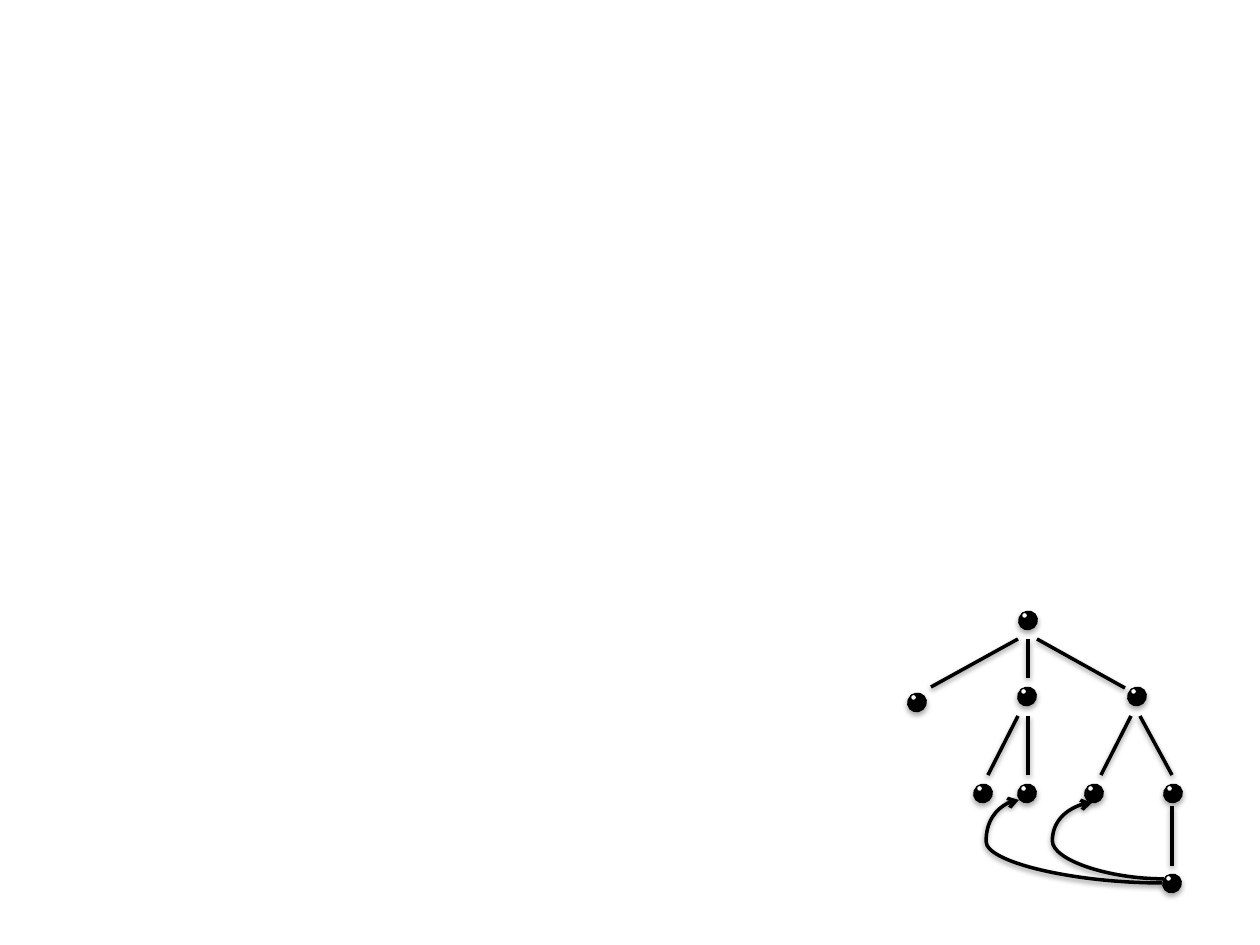
from lxml import etree
from pptx import Presentation, util as u
from pptx.dml.color import RGBColor
from pptx.enum import shapes
from pptx.oxml import ns

BLACK = RGBColor(0x00, 0x00, 0x00)
WHITE = RGBColor(0xFF, 0xFF, 0xFF)
SCALE = 914400 / 126
TREE_BOX = (900, 600)
DOT_W, DOT_H, SHINE = 18, 19, 6
TILT = 48.4

DOTS = [(119, 11), (8, 93), (118, 87), (228, 87),
        *((x, 184) for x in (74, 118, 185, 264)), (263, 274)]
BRANCHES = [(118, 39, 31, 87), (128, 39, 128, 78), (137, 39, 225, 88),
            (118, 116, 88, 175), (128, 116, 128, 175),
            (231, 116, 201, 175), (240, 116, 272, 175),
            (272, 206, 272, 266)]
NEAR_LINK = (264, 279, 192, 203)
FAR_LINK = (262, 283, 119, 200)


def px(n):
    """Turn pixels into EMU."""
    return u.Emu(round(n * SCALE))


def add_child(parent, tag, **attrs):
    """Append a drawing element with the given attributes."""
    el = etree.SubElement(parent, ns.qn(tag))
    for key, value in attrs.items():
        el.set(key, str(value))
    return el


def add_shadow(sp, distance, alpha):
    """Give a shape or connector a soft shadow below it."""
    effects = add_child(sp._element.spPr, "a:effectLst")
    outer = add_child(effects, "a:outerShdw", blurRad=u.Pt(3.1), dist=u.Pt(distance),
                      dir=5400000, rotWithShape=0)
    color = add_child(outer, "a:srgbClr", val=BLACK)
    add_child(color, "a:alpha", val=alpha * 1000)


def add_ellipse(grp, x, y, w, h, color):
    """Add one tilted ellipse with a thin black outline."""
    sp = grp.shapes.add_shape(shapes.MSO_SHAPE.OVAL, px(x), px(y), px(w), px(h))
    sp.rotation = TILT
    sp.fill.solid()
    sp.fill.fore_color.rgb = color
    sp.line.color.rgb = BLACK
    sp.line.width = u.Pt(0.75)
    add_shadow(sp, 1.8, 35)


def add_dot(grp, x, y):
    """Add a black node with its white highlight."""
    add_ellipse(grp, x, y, DOT_W, DOT_H, BLACK)
    add_ellipse(grp, x + 2.5, y + 1.5, SHINE, SHINE, WHITE)


def add_line(grp, box, ends, bend=None):
    """Add a straight branch, or a curved arrow when a bend is given."""
    kind = shapes.MSO_CONNECTOR.CURVE if bend else shapes.MSO_CONNECTOR.STRAIGHT
    x, y = box
    x1, y1, x2, y2 = ends
    cxn = grp.shapes.add_connector(kind, px(x + x1), px(y + y1), px(x + x2), px(y + y2))
    cxn.line.color.rgb = BLACK
    cxn.line.width = u.Pt(2)
    if bend:
        guides = cxn._element.spPr.find(ns.qn("a:prstGeom")).get_or_add_avLst()
        add_child(guides, "a:gd", name="adj1", fmla=f"val {round(bend * 100000)}")
        add_child(cxn.line._get_or_add_ln(), "a:tailEnd", type="arrow")
    add_shadow(cxn, 1.6, 38)


def add_tree(s, box):
    """Draw the tree with its two back links, relative to the box corner."""
    grp = s.shapes.add_group_shape()
    add_line(grp, box, NEAR_LINK, bend=1.55)
    for x, y in DOTS:
        add_dot(grp, box[0] + x, box[1] + y)
    for ends in BRANCHES:
        add_line(grp, box, ends)
    add_line(grp, box, FAR_LINK, bend=1.23)


def main():
    """Build and save the slide."""
    prs = Presentation()
    prs.slide_width, prs.slide_height = px(1260), px(945)
    s = prs.slides.add_slide(prs.slide_layouts[6])
    add_tree(s, TREE_BOX)
    prs.save("out.pptx")


main()
